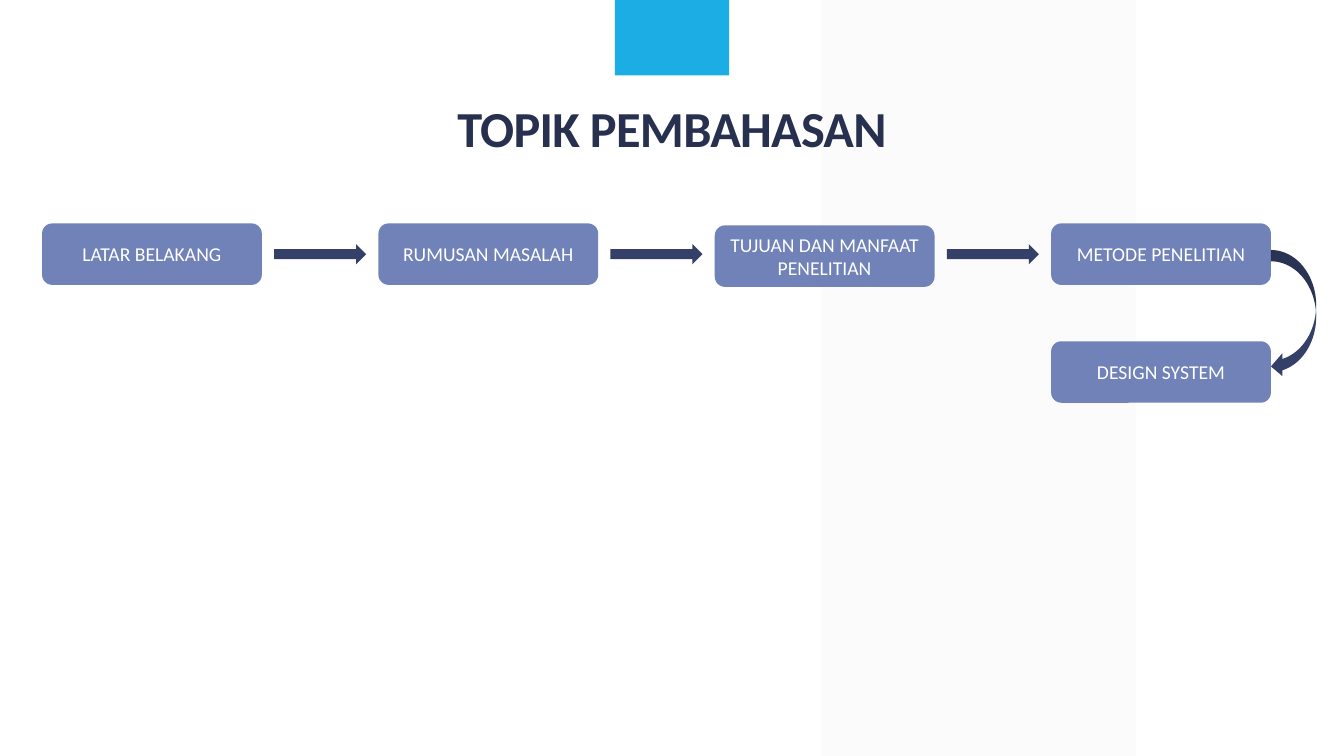
from dataclasses import dataclass

from lxml import etree
from pptx import Presentation
from pptx import util as u
from pptx.dml import color
from pptx.enum import shapes, text
from pptx.oxml import ns

Cm = u.Cm


@dataclass(frozen=True)
class Theme:
    font: str = "Calibri"
    band: str = "F2F2F2"
    tab: str = "1CADE4"
    title: str = "27304E"
    topic: str = "7182B8"
    arrow: str = "344068"
    label: str = "FFFFFF"
    title_size: int = 36
    label_size: int = 14


THEME = Theme()
TOPICS = [
    "LATAR BELAKANG",
    "RUMUSAN MASALAH",
    "TUJUAN DAN MANFAAT PENELITIAN",
    "METODE PENELITIAN",
]
LAST_TOPIC = "DESIGN SYSTEM"


def write(holder, words, *, size, rgb, bold=False, line_spacing=None, tracking=None):
    frame = holder.text_frame
    frame.word_wrap = True
    frame.vertical_anchor = text.MSO_ANCHOR.MIDDLE
    paragraph = frame.paragraphs[0]
    paragraph.alignment = text.PP_ALIGN.CENTER
    if line_spacing:
        paragraph.line_spacing = line_spacing
    run = paragraph.add_run()
    run.text = words
    run.font.name = THEME.font
    run.font.size = u.Pt(size)
    run.font.bold = bold
    run.font.color.rgb = color.RGBColor.from_string(rgb)
    if tracking:
        run.font._element.set("spc", str(round(tracking * 100)))


def draw(slide, kind, box, rgb, opacity=None):
    part = slide.shapes.add_shape(kind, *(Cm(length) for length in box))
    part.shadow.inherit = False
    part.line.fill.background()
    part.fill.solid()
    part.fill.fore_color.rgb = color.RGBColor.from_string(rgb)
    if opacity is not None:
        tint = part._element.spPr.find(".//" + ns.qn("a:srgbClr"))
        etree.SubElement(tint, ns.qn("a:alpha")).set("val", str(round(opacity * 100000)))
    return part


def add_backdrop(slide, box):
    left, top, width, height = box
    band = draw(slide, shapes.MSO_SHAPE.PARALLELOGRAM,
                (left + 20.7, top, 7.92, height), THEME.band, opacity=0.3)
    band.adjustments[0] = 0
    tab_width = 2.88
    draw(slide, shapes.MSO_SHAPE.RECTANGLE,
         (left + (width - tab_width) / 2, top, tab_width, 1.9), THEME.tab)


def add_title(slide, box):
    title = slide.shapes.add_textbox(*(Cm(length) for length in box))
    write(title, "TOPIK PEMBAHASAN", size=THEME.title_size, rgb=THEME.title,
          bold=True, line_spacing=0.9, tracking=-0.5)


def add_topic(slide, box, words):
    topic = draw(slide, shapes.MSO_SHAPE.ROUNDED_RECTANGLE, box, THEME.topic)
    write(topic, words, size=THEME.label_size, rgb=THEME.label)


def add_topic_flow(slide, box):
    left, top, width, height = box
    topic_width, topic_height = 5.54, 1.55
    arrow_width, arrow_height = 2.32, 0.51
    pitch = (width - topic_width) / (len(TOPICS) - 1)
    arrow_offset = (pitch + topic_width - arrow_width) / 2
    arrow_top = top + (topic_height - arrow_height) / 2
    drops = {2: 0.05}

    for index, words in enumerate(TOPICS):
        topic_left = left + index * pitch
        add_topic(slide, (topic_left, top + drops.get(index, 0),
                          topic_width, topic_height), words)
        if index < len(TOPICS) - 1:
            draw(slide, shapes.MSO_SHAPE.RIGHT_ARROW,
                 (topic_left + arrow_offset, arrow_top, arrow_width, arrow_height),
                 THEME.arrow)

    draw(slide, shapes.MSO_SHAPE.CURVED_LEFT_ARROW,
         (left + width, top + 0.67, 1.14, 3.22), THEME.arrow)
    add_topic(slide, (left + width - topic_width, top + height - topic_height,
                      topic_width, topic_height), LAST_TOPIC)


def main():
    deck = Presentation()
    deck.slide_width, deck.slide_height = Cm(33.87), Cm(19.05)
    slide = deck.slides.add_slide(deck.slide_layouts[6])
    add_backdrop(slide, (0, 0, 33.87, 19.05))
    add_title(slide, (8.53, 2.44, 16.81, 1.75))
    add_topic_flow(slide, (1.06, 5.63, 30.97, 4.52))
    deck.save("out.pptx")


if __name__ == "__main__":
    main()
